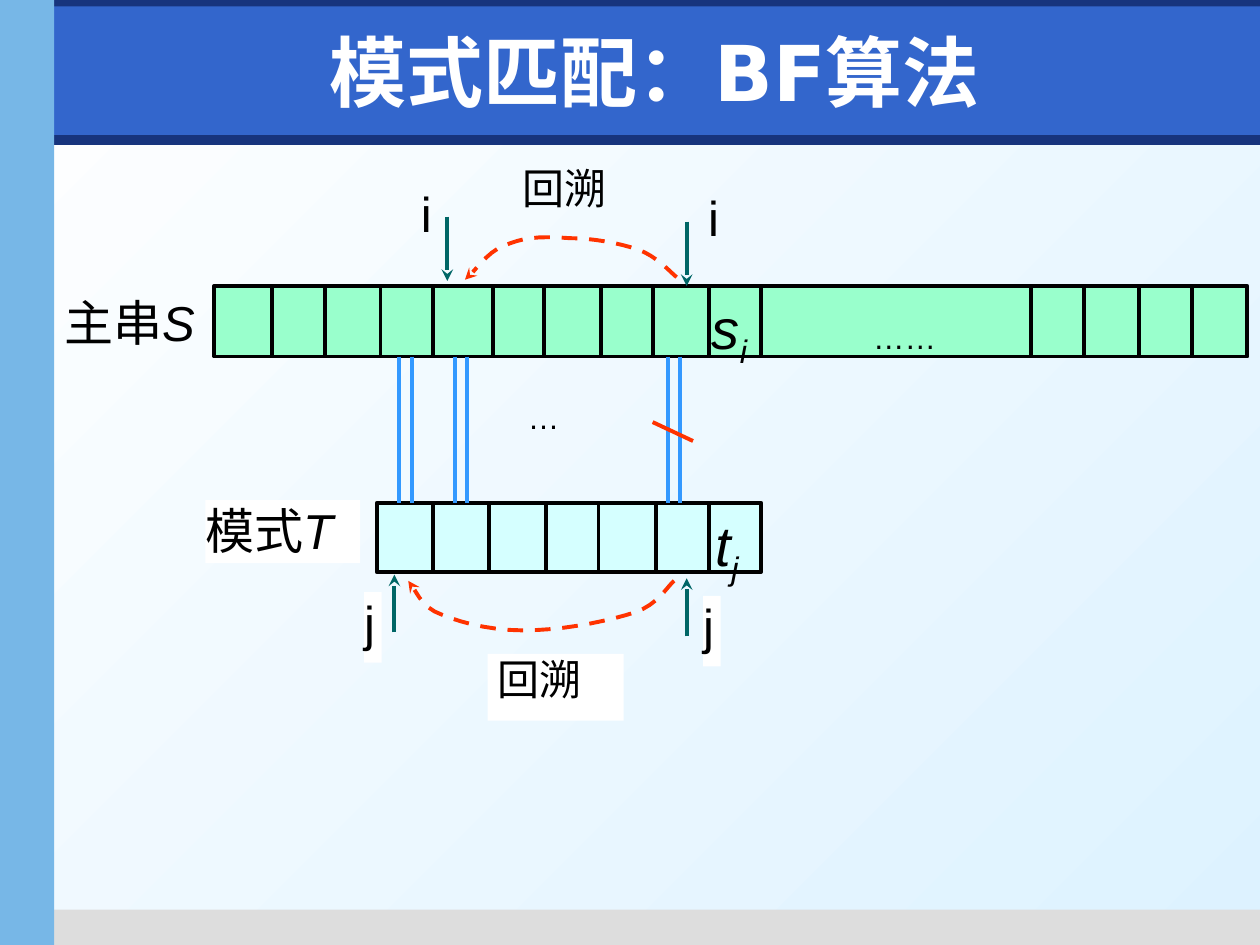
from lxml import etree
from pptx import Presentation
from pptx.dml.color import RGBColor
from pptx.enum import dml, shapes, text
from pptx.oxml.ns import qn
from pptx.util import Inches, Pt

BLACK = RGBColor(0, 0, 0)
WHITE = RGBColor(255, 255, 255)
PALE = RGBColor(0xDD, 0xF2, 0xFF)
NAVY = RGBColor(0x17, 0x34, 0x7D)
GREY = RGBColor(0xDD, 0xDD, 0xDD)
BLUE = RGBColor(0x33, 0x66, 0xCC)
SKY = RGBColor(0x77, 0xB7, 0xE7)
GREEN = RGBColor(0x99, 0xFF, 0xCC)
AQUA = RGBColor(0xD5, 0xFF, 0xFF)
TEAL = RGBColor(0, 0x66, 0x66)
MATCH = RGBColor(0x33, 0x99, 0xFF)
RED = RGBColor(0xFF, 0x33, 0)

BANDS = [
    ((0.04, 1.07, 9.96, 0.08), NAVY),
    ((0.35, 7.22, 9.65, 0.28), GREY),
    ((0, 0, 10, 0.21), NAVY),
    ((0.43, 0.05, 9.57, 1.02), BLUE),
    ((0, 0, 0.43, 7.5), SKY),
]
TITLE = ("模式匹配：BF算法", dict(size=Pt(44), name="DejaVu Sans", bold=True), WHITE)
MAIN = (1.7, 2.27, 8.2, 0.56)
MAIN_CELLS = [2.16, 2.58, 3.02, 3.44, 3.91, 4.32, 4.77, 5.18, 5.63, 6.04,
              8.18, 8.6, 9.04, 9.46]
PATTERN = (2.99, 3.99, 3.05, 0.55)
PATTERN_CELLS = [3.44, 3.88, 4.33, 4.75, 5.21, 5.63]
MATCHES = [3.17, 3.61, 5.3]
MATCH_GAP = 0.1
LABELS = [
    ((0.51, 2.32, 1.08, 0.5), None, 28, [("主串", False), ("S", True)], 0),
    ((1.63, 3.97, 1.23, 0.5), WHITE, 28, [("模式", False), ("T", True)], 0),
    ((4.19, 3.16, 0.61, 0.52), None, 18, [("…", False)], 0),
    ((4.07, 1.29, 0.9, 0.53), None, 24, [("回溯", False)], 0.08),
    ((3.87, 5.19, 1.08, 0.53), WHITE, 24, [("回溯", False)], 0.08),
    ((3.34, 1.46, 0.15, 0.55), None, 28, [("i", False)], 0),
    ((5.62, 1.49, 0.15, 0.55), None, 28, [("i", False)], 0),
    ((2.89, 4.7, 0.14, 0.56), WHITE, 28, [("j", False)], 0),
    ((5.58, 4.73, 0.14, 0.56), WHITE, 28, [("j", False)], 0),
]
POINTERS = [(3.55, 1.72, 2.23), (5.45, 1.76, 2.27),
            (3.13, 5.02, 4.56), (5.45, 5.05, 4.59)]
BACKTRACKS = [
    [(5.37, 2.2), (5.32, 2.16), (5.21, 2.03), (5.06, 1.98), (4.92, 1.93),
     (4.7, 1.89), (4.52, 1.89), (4.26, 1.87), (4.14, 1.89), (4, 1.95),
     (3.86, 2), (3.76, 2.17), (3.69, 2.22)],
    [(5.35, 4.61), (5.3, 4.65), (5.22, 4.8), (5.04, 4.86), (4.86, 4.92),
     (4.53, 4.99), (4.27, 5), (3.95, 5.02), (3.68, 4.95), (3.51, 4.88),
     (3.33, 4.82), (3.3, 4.67), (3.24, 4.61)],
]
CURVE_STEPS = 8

deck = Presentation()
deck.slide_width, deck.slide_height = Inches(10), Inches(7.5)
page = deck.slides.add_slide(deck.slide_layouts[6])
backdrop = page.background.fill
backdrop.gradient()
backdrop.gradient_angle = 315
for stop, color in zip(backdrop.gradient_stops, (WHITE, PALE)):
    stop.color.rgb = color


def add_rect(place, fill, outline=None):
    box = page.shapes.add_shape(shapes.MSO_SHAPE.RECTANGLE, *map(Inches, place))
    box.shadow.inherit = False
    box.fill.solid()
    box.fill.fore_color.rgb = fill
    if outline is None:
        box.line.fill.background()
    else:
        box.line.color.rgb = outline
        box.line.width = Pt(2.25)
    return box


def set_frame(box, insets=(0, 0, 0, 0), anchor=text.MSO_ANCHOR.TOP,
              align=text.PP_ALIGN.JUSTIFY):
    frame = box.text_frame
    margins = zip(("left", "top", "right", "bottom"), map(Inches, insets))
    formats = {f"margin_{side}": inset for side, inset in margins}
    for key, value in dict(formats, word_wrap=True, vertical_anchor=anchor).items():
        setattr(frame, key, value)
    para = frame.paragraphs[0]
    para.alignment = align
    return para


def add_span(para, words, formats, color=BLACK, baseline=0):
    span = para.add_run()
    span.text = words
    for key, value in formats.items():
        setattr(span.font, key, value)
    span.font.color.rgb = color
    if baseline:
        span.font._element.set("baseline", str(baseline * 1000))


def add_arrowhead(line):
    etree.SubElement(line._get_or_add_ln(), qn("a:tailEnd"), type="stealth")


def add_line(start, end, color, arrow=False):
    link = page.shapes.add_connector(shapes.MSO_CONNECTOR.STRAIGHT,
                                     *map(Inches, (*start, *end)))
    link.line.color.rgb = color
    link.line.width = Pt(2.25)
    if arrow:
        add_arrowhead(link.line)
    etree.SubElement(link._element.spPr, qn("a:effectLst"))


def add_string(place, fill, cells, symbol, index, inset):
    left, top, width, height = place
    box = add_rect(place, fill, BLACK)
    para = set_frame(box, (inset, 0.06, 0, 0), align=text.PP_ALIGN.LEFT)
    para.line_spacing = 0.96
    formats = dict(size=Pt(32), name="Arial", italic=True)
    add_span(para, symbol, formats)
    add_span(para, index, formats, baseline=-25)
    for x in cells:
        add_line((x, top), (x, top + height), BLACK)
    return para


def add_curve(controls):
    points = []
    for first in range(0, len(controls) - 1, 3):
        a, b, c, d = controls[first:first + 4]
        for step in range(1, CURVE_STEPS + 1):
            t = step / CURVE_STEPS
            weights = ((1 - t) ** 3, 3 * t * (1 - t) ** 2, 3 * t * t * (1 - t), t ** 3)
            points.append([Inches(sum(w * p[axis] for w, p in zip(weights, (a, b, c, d))))
                           for axis in (0, 1)])
    builder = page.shapes.build_freeform(*map(Inches, controls[0]))
    builder.add_line_segments(points, close=False)
    curve = builder.convert_to_shape()
    curve.shadow.inherit = False
    curve.fill.background()
    curve.line.color.rgb = RED
    curve.line.width = Pt(2.25)
    curve.line.dash_style = dml.MSO_LINE.DASH
    add_arrowhead(curve.line)


for place, fill in BANDS:
    add_rect(place, fill)
heading = page.shapes.add_textbox(*map(Inches, (0.59, 0.13, 9.21, 0.87)))
add_span(set_frame(heading, anchor=text.MSO_ANCHOR.MIDDLE,
                   align=text.PP_ALIGN.CENTER), *TITLE)

main_text = add_string(MAIN, GREEN, MAIN_CELLS, "s", "i", 3.95)
tabs = etree.SubElement(main_text._p.get_or_add_pPr(), qn("a:tabLst"))
etree.SubElement(tabs, qn("a:tab"), pos=str(Inches(1.28)), algn="l")
add_span(main_text, "\t……", dict(size=Pt(18), name="Arial"))
add_string(PATTERN, AQUA, PATTERN_CELLS, "t", "j", 2.69)

for x in MATCHES:
    for side in (x, x + MATCH_GAP):
        add_line((side, MAIN[1] + MAIN[3]), (side, PATTERN[1]), MATCH)
add_line((5.18, 3.35), (5.5, 3.5), RED)

for place, fill, size, spans, inset in LABELS:
    box = add_rect(place, fill) if fill else page.shapes.add_textbox(*map(Inches, place))
    para = set_frame(box, (inset, 0, 0, 0))
    for words, italic in spans:
        add_span(para, words, dict(size=Pt(size), name="Arial", italic=italic))
for x, start, tip in POINTERS:
    add_line((x, start), (x, tip), TEAL, arrow=True)
for controls in BACKTRACKS:
    add_curve(controls)

deck.save("out.pptx")
